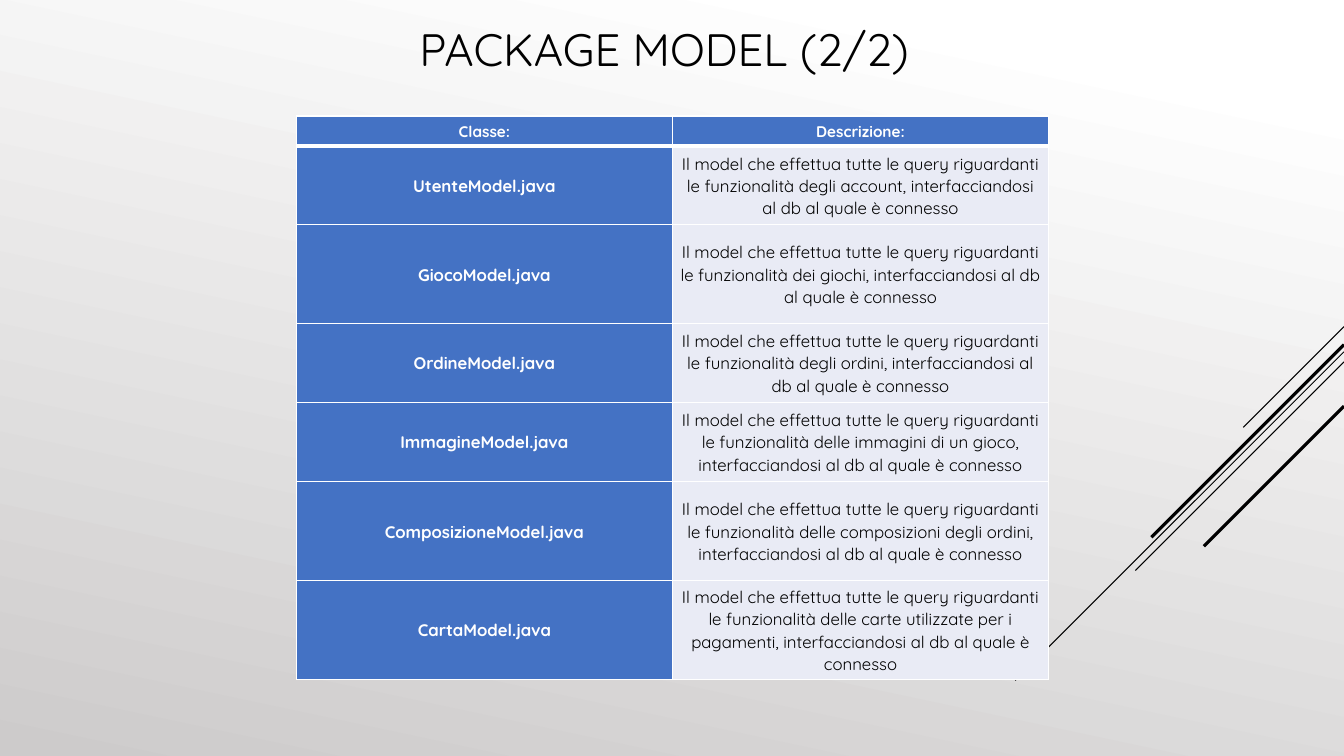
from lxml import etree
from pptx import Presentation
from pptx.dml.color import RGBColor
from pptx.enum import shapes, text
from pptx.oxml import ns
from pptx.util import Inches, Pt

# Content
TITLE = "PACKAGE MODEL (2/2)"
HEADERS = ("Classe:", "Descrizione:")
OPENING = "Il model che effettua tutte le query riguardanti"
ENDING = ", interfacciandosi al db al quale è connesso"
MODELS = [  # class, what its queries cover, row height
    ("UtenteModel.java", " le funzionalità degli account", 0.78),
    ("GiocoModel.java", "\nle funzionalità dei giochi", 0.98),
    ("OrdineModel.java", " le funzionalità degli ordini", 0.78),
    ("ImmagineModel.java", " le funzionalità delle immagini di un gioco", 0.79),
    ("ComposizioneModel.java", " le funzionalità delle composizioni degli ordini", 0.98),
    ("CartaModel.java", " le funzionalità delle carte utilizzate per i pagamenti", 0.98),
]
HEADER_HEIGHT = 0.3
COLUMN_WIDTH = 3.73
DIAGONALS = [  # top at the right edge, horizontal run, line width
    (3.24, 1.0, 0.75),
    (3.49, 3.26, 0.75),
    (3.59, 2.07, 0.75),
    (3.42, 1.91, 2.25),
    (4.03, 1.39, 2.25),
]
FONT = "Quicksand"
BLACK, WHITE, BLUE, PALE = "000000", "FFFFFF", "4472C4", "E9EBF5"
SLIDE_WIDTH, SLIDE_HEIGHT = 13.33, 7.5


def color(value):
    return RGBColor.from_string(value)


def write(frame, content, size, ink=BLACK, bold=False, align=None, spacing=None):
    frame.word_wrap = True
    for index, line in enumerate(content.split("\n")):
        paragraph = frame.add_paragraph() if index else frame.paragraphs[0]
        paragraph.alignment = align
        paragraph.line_spacing = spacing
        run = paragraph.add_run()
        run.text = line
        run.font.name, run.font.size, run.font.bold = FONT, Pt(size), bold
        run.font.color.rgb = color(ink)


def add_borders(cell, bottom):
    properties = cell._tc.get_or_add_tcPr()
    for side, width in (("L", 1), ("R", 1), ("T", 1), ("B", bottom)):
        border = etree.SubElement(properties, ns.qn("a:ln" + side), w=str(Pt(width)))
        fill = etree.SubElement(border, ns.qn("a:solidFill"))
        etree.SubElement(fill, ns.qn("a:srgbClr"), val=WHITE)


def fill_cell(cell, content, size, fill, ink, bold, bottom=1):
    cell.vertical_anchor = text.MSO_ANCHOR.MIDDLE
    cell.margin_left = cell.margin_right = Inches(0.07)
    cell.margin_top = cell.margin_bottom = 0
    add_borders(cell, bottom)
    cell.fill.solid()
    cell.fill.fore_color.rgb = color(fill)
    write(cell.text_frame, content, size, ink=ink, bold=bold,
          align=text.PP_ALIGN.CENTER, spacing=1.07)


def add_background(slide):
    fill = slide.background.fill
    fill.gradient()
    fill.gradient_angle = 360 - 102
    for stop, (position, shade) in zip(fill.gradient_stops, ((0.1, WHITE), (1, "CDCBCB"))):
        stop.position = position
        stop.color.rgb = color(shade)


def add_diagonals(slide):
    for top, run, width in DIAGONALS:
        line = slide.shapes.add_connector(
            shapes.MSO_CONNECTOR.STRAIGHT, Inches(SLIDE_WIDTH), Inches(top),
            Inches(SLIDE_WIDTH - run), Inches(top + run))
        line.line.color.rgb = color(BLACK)
        line.line.width = Pt(width)
        etree.SubElement(line._element.spPr, ns.qn("a:effectLst"))


def add_models_table(slide):
    heights = [HEADER_HEIGHT] + [height for _, _, height in MODELS]
    table = slide.shapes.add_table(
        len(heights), 2, Inches(2.94), Inches(1.15),
        Inches(2 * COLUMN_WIDTH), Inches(sum(heights))).table
    for column in table.columns:
        column.width = Inches(COLUMN_WIDTH)
    for row, height in zip(table.rows, heights):
        row.height = Inches(height)
    for column, header in enumerate(HEADERS):
        fill_cell(table.cell(0, column), header, 11, BLUE, WHITE, True, bottom=3)
    for row, (name, subject, _) in enumerate(MODELS, start=1):
        fill_cell(table.cell(row, 0), name, 12, BLUE, WHITE, True)
        fill_cell(table.cell(row, 1), OPENING + subject + ENDING, 12, PALE, BLACK, False)


def add_title(slide):
    frame = slide.shapes.add_textbox(
        Inches(4.06), 0, Inches(5.22), Inches(0.97)).text_frame
    frame.vertical_anchor = text.MSO_ANCHOR.MIDDLE
    write(frame, TITLE, 32.4)


def main():
    presentation = Presentation()
    presentation.slide_width = Inches(SLIDE_WIDTH)
    presentation.slide_height = Inches(SLIDE_HEIGHT)
    slide = presentation.slides.add_slide(presentation.slide_layouts[6])
    add_background(slide)
    add_diagonals(slide)
    add_models_table(slide)
    add_title(slide)
    presentation.save("out.pptx")


if __name__ == "__main__":
    main()
